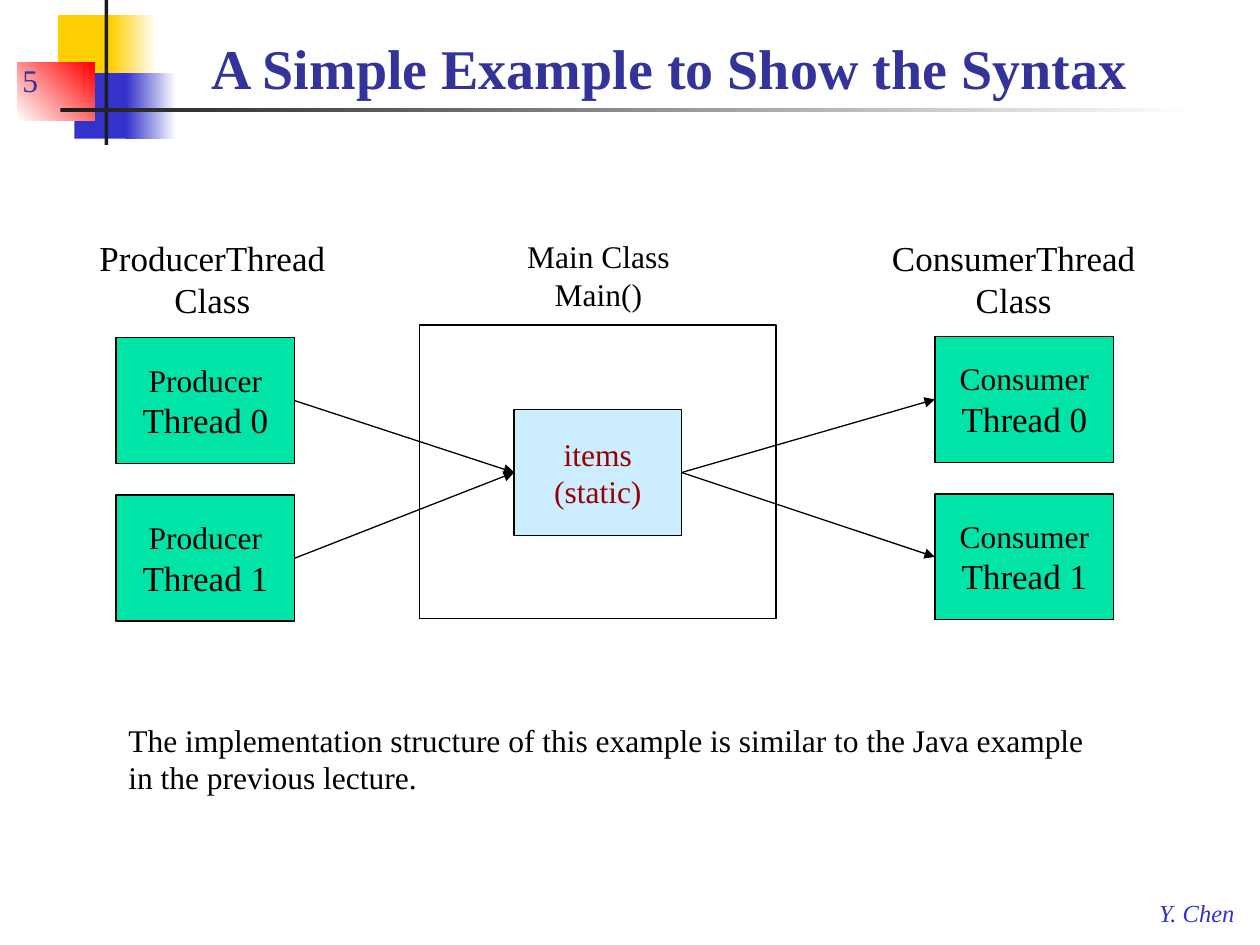
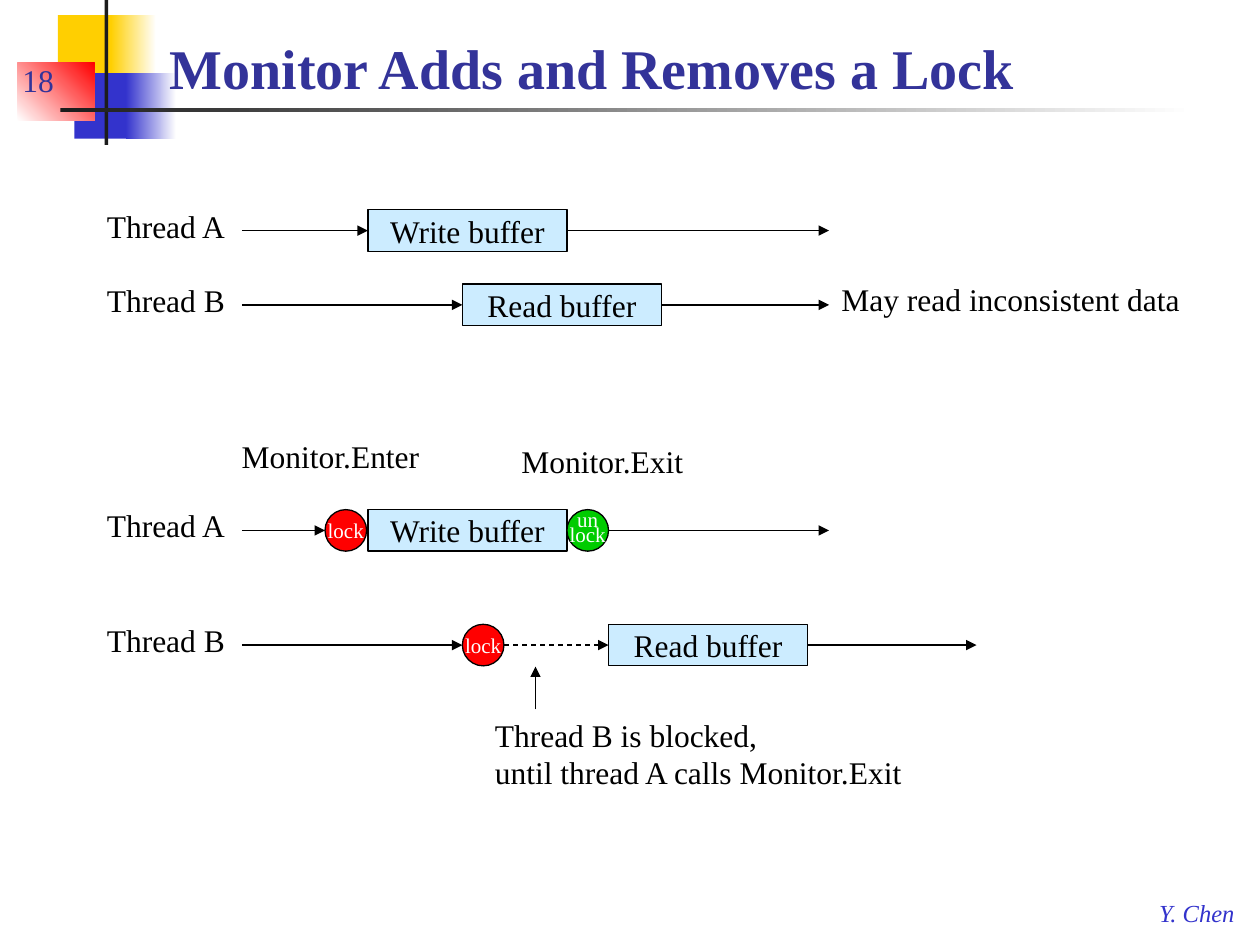
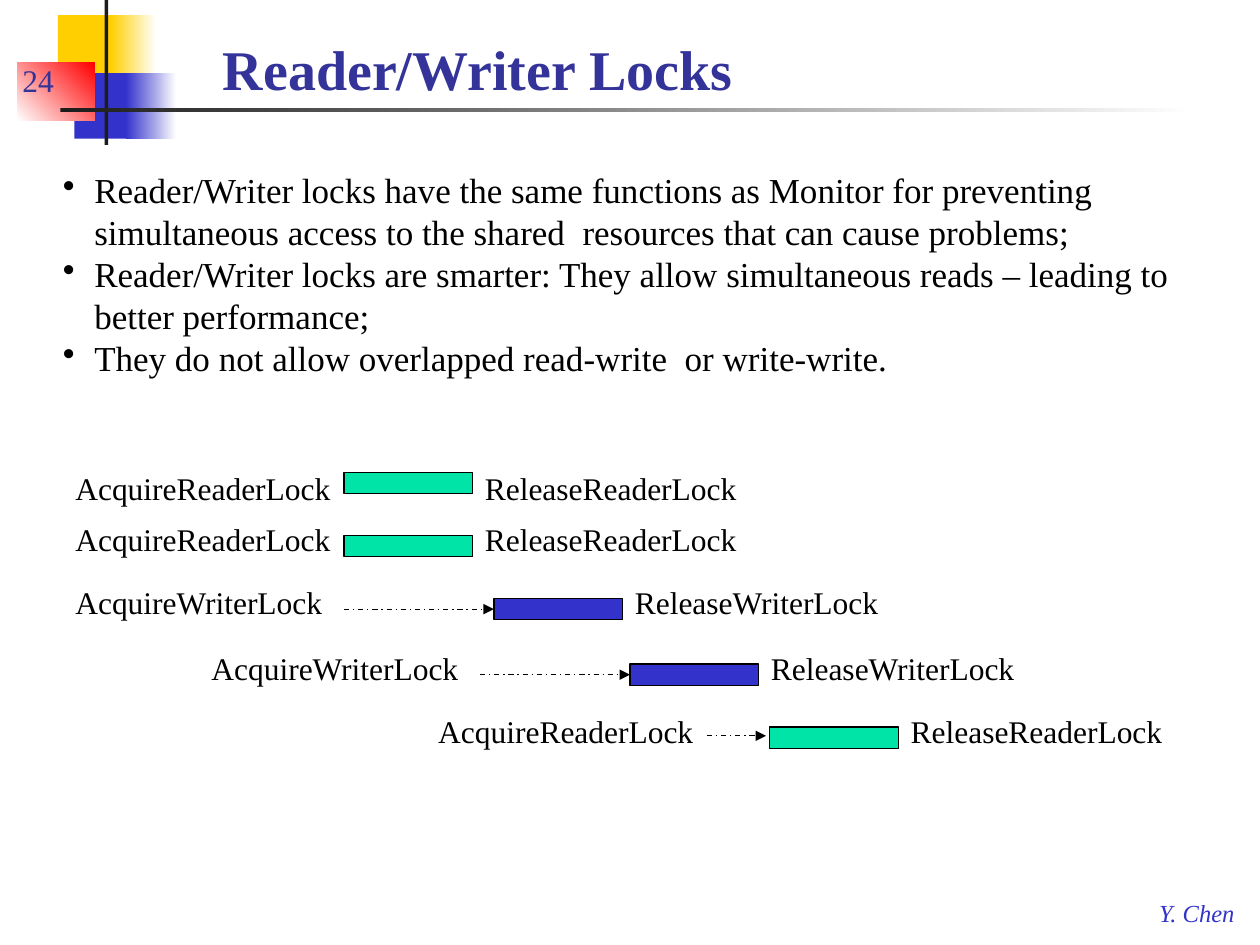
import dataclasses
import itertools
import typing

import lxml.etree
import pptx
import pptx.dml.color
import pptx.enum.dml
import pptx.enum.shapes
import pptx.enum.text
import pptx.oxml.ns
import pptx.shapes.base
import pptx.shapes.connector
import pptx.slide
import pptx.util

Inches = pptx.util.Inches
Color = pptx.dml.color.RGBColor
Align = pptx.enum.text.PP_ALIGN
Anchor = pptx.enum.text.MSO_ANCHOR
AutoSize = pptx.enum.text.MSO_AUTO_SIZE
Dash = pptx.enum.dml.MSO_LINE
Preset = pptx.enum.shapes.MSO_SHAPE
LEFT, RIGHT = 1, 3


@dataclasses.dataclass(frozen=True)
class Theme:
    font: str = "Times New Roman"
    black: Color = Color.from_string("000000")
    white: Color = Color.from_string("FFFFFF")
    charcoal: Color = Color.from_string("1C1C1C")
    yellow: Color = Color.from_string("FFCF01")
    blue: Color = Color.from_string("3333CC")
    navy: Color = Color.from_string("333399")
    red: Color = Color.from_string("FF0000")
    dark_red: Color = Color.from_string("990000")
    mint: Color = Color.from_string("00E4A8")
    pale_blue: Color = Color.from_string("CCECFF")
    green: Color = Color.from_string("00CC00")
    title_size: int = 32
    large_size: int = 20
    body_size: int = 18
    footer_size: int = 14
    small_size: int = 12
    line_width: float = 0.75


THEME = Theme()


class Box(typing.NamedTuple):
    left: float
    top: float
    width: float
    height: float


class Point(typing.NamedTuple):
    x: float
    y: float


class Side(typing.NamedTuple):
    shape: pptx.shapes.base.BaseShape
    site: int


@dataclasses.dataclass(frozen=True)
class TextStyle:
    """Sizes are used in turn, one for each paragraph."""
    sizes: tuple[int, ...] = (THEME.body_size,)
    color: Color = THEME.black
    bold: bool = False
    italic: bool = False
    align: Align = Align.LEFT
    anchor: Anchor = Anchor.TOP
    wrap: bool = False
    auto_size: AutoSize = AutoSize.SHAPE_TO_FIT_TEXT
    line_spacing: typing.Optional[float] = None
    bullet: bool = False


LABEL = TextStyle()
WRAPPED = TextStyle(wrap=True)
CENTERED = TextStyle(align=Align.CENTER)
CENTERED_LARGE = dataclasses.replace(CENTERED, sizes=(THEME.large_size,))
BULLETS = dataclasses.replace(WRAPPED, sizes=(THEME.large_size,), bullet=True)
FOOTER = TextStyle(sizes=(THEME.footer_size,), color=THEME.blue, italic=True)
NUMBER = TextStyle(color=THEME.navy, anchor=Anchor.BOTTOM, wrap=True, auto_size=AutoSize.NONE)
TITLE = dataclasses.replace(NUMBER, sizes=(THEME.title_size,), bold=True)
IN_SHAPE = TextStyle(align=Align.CENTER, anchor=Anchor.MIDDLE, auto_size=AutoSize.NONE)
IN_THREAD = dataclasses.replace(IN_SHAPE, sizes=(THEME.body_size, THEME.large_size))
IN_ITEMS = dataclasses.replace(IN_SHAPE, color=THEME.dark_red)
IN_LOCK = dataclasses.replace(IN_SHAPE, sizes=(THEME.small_size,), color=THEME.white)
IN_UNLOCK = dataclasses.replace(IN_LOCK, line_spacing=0.6)


def set_values(target: typing.Any, values: dict[str, typing.Any]) -> None:
    for name, value in values.items():
        setattr(target, name, value)


def inches(values: typing.Iterable[float]) -> list[pptx.util.Length]:
    return [Inches(value) for value in values]


def add_child(parent: typing.Any, tag: str, **attributes: str) -> None:
    lxml.etree.SubElement(parent, pptx.oxml.ns.qn(tag), attributes)


def write(shape: pptx.shapes.base.BaseShape, lines: typing.Sequence[str], style: TextStyle) -> None:
    frame = shape.text_frame
    frame.text = "\n".join(lines)
    set_values(frame, {"word_wrap": style.wrap, "auto_size": style.auto_size,
                       "vertical_anchor": style.anchor})
    for paragraph, size in zip(frame.paragraphs, itertools.cycle(style.sizes)):
        set_values(paragraph, {"alignment": style.align, "line_spacing": style.line_spacing})
        for run in paragraph.runs:
            set_values(run.font, {"name": THEME.font, "size": pptx.util.Pt(size),
                                  "bold": style.bold, "italic": style.italic})
            run.font.color.rgb = style.color
        if style.bullet:
            properties = paragraph._p.get_or_add_pPr()
            indent = Inches(0.25)
            properties.set("marL", str(indent))
            properties.set("indent", str(-indent))
            add_child(properties, "a:buChar", char="•")


def add_text(slide: pptx.slide.Slide, box: Box, lines: typing.Sequence[str],
             style: TextStyle = LABEL) -> None:
    write(slide.shapes.add_textbox(*inches(box)), lines, style)


def add_shape(slide: pptx.slide.Slide, box: Box, fill: typing.Optional[Color] = None,
              lines: typing.Sequence[str] = (), style: TextStyle = IN_SHAPE,
              preset: Preset = Preset.RECTANGLE, outlined: bool = True) -> pptx.shapes.base.BaseShape:
    shape = slide.shapes.add_shape(preset, *inches(box))
    shape.shadow.inherit = False
    if fill is None:
        shape.fill.background()
    else:
        shape.fill.solid()
        shape.fill.fore_color.rgb = fill
    if outlined:
        shape.line.color.rgb = THEME.black
        shape.line.width = pptx.util.Pt(THEME.line_width)
    else:
        shape.line.fill.background()
    if lines:
        write(shape, lines, style)
    return shape


def add_arrow(slide: pptx.slide.Slide, start: Point | Side, end: Point | Side,
              dash: typing.Optional[Dash] = None) -> None:
    """Draw an arrow; an end given as a Side is joined to that shape."""
    points = [Point(0, 0) if isinstance(target, Side) else target for target in (start, end)]
    connector = slide.shapes.add_connector(
        pptx.enum.shapes.MSO_CONNECTOR.STRAIGHT, *inches(itertools.chain(*points)))
    if isinstance(start, Side):
        connector.begin_connect(*start)
    if isinstance(end, Side):
        connector.end_connect(*end)
    connector.line.color.rgb = THEME.black
    set_values(connector.line, {"width": pptx.util.Pt(THEME.line_width), "dash_style": dash})
    add_child(connector.line._get_or_add_ln(), "a:tailEnd", type="triangle")
    add_child(connector._element.spPr, "a:effectLst")


class Ornament(typing.NamedTuple):
    box: Box
    color: Color
    fade_to: typing.Optional[Color] = None
    angle: float = 0


ORNAMENTS = (
    Ornament(Box(0.46, 0.12, 0.48, 0.52), THEME.yellow),
    Ornament(Box(0.88, 0.12, 0.36, 0.52), THEME.yellow, THEME.white),
    Ornament(Box(0.59, 0.58, 0.46, 0.52), THEME.blue),
    Ornament(Box(1, 0.58, 0.4, 0.52), THEME.blue, THEME.white),
    Ornament(Box(0.14, 0.5, 0.61, 0.46), THEME.white, THEME.red, 45),
    Ornament(Box(0.83, 0, 0.03, 1.15), THEME.charcoal),
    Ornament(Box(0.48, 0.86, 9, 0.03), THEME.charcoal, THEME.white),
)


def add_slide(presentation: typing.Any, number: int, title: str, title_box: Box) -> pptx.slide.Slide:
    """Add a slide with the ornaments, footer, number and title."""
    slide = presentation.slides.add_slide(presentation.slide_layouts[6])
    for ornament in ORNAMENTS:
        shape = add_shape(slide, ornament.box, ornament.color, outlined=False)
        if ornament.fade_to is not None:
            shape.fill.gradient()
            shape.fill.gradient_angle = ornament.angle
            for stop, color in zip(shape.fill.gradient_stops, (ornament.color, ornament.fade_to)):
                stop.color.rgb = color
    add_text(slide, Box(9.1, 7.08, 0.82, 0.33), ["Y. Chen"], FOOTER)
    add_text(slide, Box(0.08, 0.33, 2.08, 0.5), [str(number)], NUMBER)
    add_text(slide, title_box, [title], TITLE)
    return slide


def add_threads(slide: pptx.slide.Slide, role: str, left: float,
                top: float) -> list[pptx.shapes.base.BaseShape]:
    return [add_shape(slide, Box(left, top + 1.25 * index, 1.42, 1), THEME.mint,
                      [role, f"Thread {index}"], IN_THREAD) for index in range(2)]


def build_syntax_slide(presentation: typing.Any) -> None:
    slide = add_slide(presentation, 5, "A Simple Example to Show the Syntax",
                      Box(1.58, 0.17, 8.33, 0.68))
    add_text(slide, Box(0.69, 1.83, 1.99, 0.77), ["ProducerThread", "Class"], CENTERED_LARGE)
    add_text(slide, Box(6.97, 1.83, 2.15, 0.77), ["ConsumerThread", "Class"], CENTERED_LARGE)
    add_text(slide, Box(4.08, 1.83, 1.34, 0.71), ["Main Class", "Main()"], CENTERED)
    add_shape(slide, Box(3.33, 2.58, 2.83, 2.33))
    items = add_shape(slide, Box(4.08, 3.25, 1.33, 1), THEME.pale_blue,
                      ["items", "(static)"], IN_ITEMS)
    for producer in add_threads(slide, "Producer", 0.92, 2.68):
        add_arrow(slide, Side(producer, RIGHT), Side(items, LEFT))
    for consumer in add_threads(slide, "Consumer", 7.42, 2.67):
        add_arrow(slide, Side(items, RIGHT), Side(consumer, LEFT))
    add_text(slide, Box(0.92, 5.67, 7.92, 0.71),
             ["The implementation structure of this example is similar to the Java example "
              "in the previous lecture."], WRAPPED)


@dataclasses.dataclass(frozen=True)
class Timeline:
    thread: str
    axis: float
    action: str
    action_left: float
    end: float = 6.58
    lock_left: typing.Optional[float] = None
    unlocks: bool = False


TIMELINES = (
    Timeline("Thread A", 1.83, "Write buffer", 2.92),
    Timeline("Thread B", 2.42, "Read buffer", 3.67),
    Timeline("Thread A", 4.21, "Write buffer", 2.92, lock_left=2.58, unlocks=True),
    Timeline("Thread B", 5.12, "Read buffer", 4.83, end=7.75, lock_left=3.67),
)


def add_timeline(slide: pptx.slide.Slide, row: Timeline) -> None:
    height, action_width = 0.33, 1.58
    top = row.axis - height / 2

    def add_circle(left: float, fill: Color, lines: list[str], style: TextStyle) -> None:
        add_shape(slide, Box(left, top, height, height), fill, lines, style, Preset.OVAL)

    add_text(slide, Box(0.75, row.axis - 0.24, 1.15, 0.4), [row.thread])
    action = add_shape(slide, Box(row.action_left, top, action_width, height),
                       THEME.pale_blue, [row.action])
    start = Point(1.92, row.axis)
    add_arrow(slide, Side(action, RIGHT), Point(row.end, row.axis))
    if row.lock_left is None:
        add_arrow(slide, start, Side(action, LEFT))
    else:
        add_arrow(slide, start, Point(row.lock_left, row.axis))
        add_circle(row.lock_left, THEME.red, ["lock"], IN_LOCK)
        lock_right = row.lock_left + height
        if row.action_left - lock_right > height:
            add_arrow(slide, Point(lock_right, row.axis), Side(action, LEFT), Dash.DASH)
    if row.unlocks:
        add_circle(row.action_left + action_width, THEME.green, ["un", "lock"], IN_UNLOCK)


def build_monitor_slide(presentation: typing.Any) -> None:
    slide = add_slide(presentation, 18, "Monitor Adds and Removes a Lock",
                      Box(1.25, 0.17, 8.67, 0.68))
    for row in TIMELINES:
        add_timeline(slide, row)
    add_text(slide, Box(1.82, 3.42, 1.62, 0.4), ["Monitor.Enter"])
    add_text(slide, Box(4.04, 3.46, 1.5, 0.4), ["Monitor.Exit"])
    add_text(slide, Box(6.58, 2.17, 2.89, 0.4), ["May read inconsistent data"])
    add_text(slide, Box(3.83, 5.63, 3.47, 0.7),
             ["Thread B is blocked,", "until thread A calls Monitor.Exit"])
    add_arrow(slide, Point(4.25, 5.63), Point(4.25, 5.29))


class LockKind(typing.NamedTuple):
    name: str
    color: Color
    acquire_width: float
    release_width: float


READER = LockKind("Reader", THEME.mint, 2.23, 2.2)
WRITER = LockKind("Writer", THEME.blue, 2.17, 2.15)


@dataclasses.dataclass(frozen=True)
class LockRow:
    kind: LockKind
    label_left: float
    label_top: float
    bar_left: float
    bar_top: float
    wait_from: typing.Optional[float] = None
    wait_gap: float = 0


LOCK_ROWS = (
    LockRow(READER, 0.5, 3.67, 2.73, 3.75),
    LockRow(READER, 0.5, 4.08, 2.73, 4.25),
    LockRow(WRITER, 0.5, 4.58, 3.92, 4.75, wait_from=2.73),
    LockRow(WRITER, 1.58, 5.1, 5, 5.27, wait_from=3.81),
    LockRow(READER, 3.38, 5.6, 6.11, 5.77, wait_from=5.61, wait_gap=0.03),
)


def add_lock_row(slide: pptx.slide.Slide, row: LockRow) -> None:
    kind, bar_width, bar_height = row.kind, 1.02, 0.17
    add_text(slide, Box(row.label_left, row.label_top, kind.acquire_width, 0.4),
             [f"Acquire{kind.name}Lock"])
    add_text(slide, Box(row.bar_left + bar_width, row.label_top, kind.release_width, 0.4),
             [f"Release{kind.name}Lock"])
    bar = add_shape(slide, Box(row.bar_left, row.bar_top, bar_width, bar_height), kind.color)
    if row.wait_from is not None:
        axis = row.bar_top + bar_height / 2 - row.wait_gap / 2
        end = Point(row.bar_left - row.wait_gap, axis) if row.wait_gap else Side(bar, LEFT)
        add_arrow(slide, Point(row.wait_from, axis), end, Dash.DASH_DOT)


def build_locks_slide(presentation: typing.Any) -> None:
    slide = add_slide(presentation, 24, "Reader/Writer Locks", Box(1.67, 0, 7.83, 0.86))
    add_text(slide, Box(0.4, 1.29, 9.43, 1.78), [
        "Reader/Writer locks have the same functions as Monitor for preventing "
        "simultaneous access to the shared  resources that can cause problems;",
        "Reader/Writer locks are smarter: They allow simultaneous reads – leading to "
        "better performance;",
        "They do not allow overlapped read-write  or write-write.",
    ], BULLETS)
    for row in LOCK_ROWS:
        add_lock_row(slide, row)


def main() -> None:
    presentation = pptx.Presentation()
    set_values(presentation, {"slide_width": Inches(10), "slide_height": Inches(7.5)})
    for build in (build_syntax_slide, build_monitor_slide, build_locks_slide):
        build(presentation)
    presentation.save("out.pptx")


if __name__ == "__main__":
    main()
